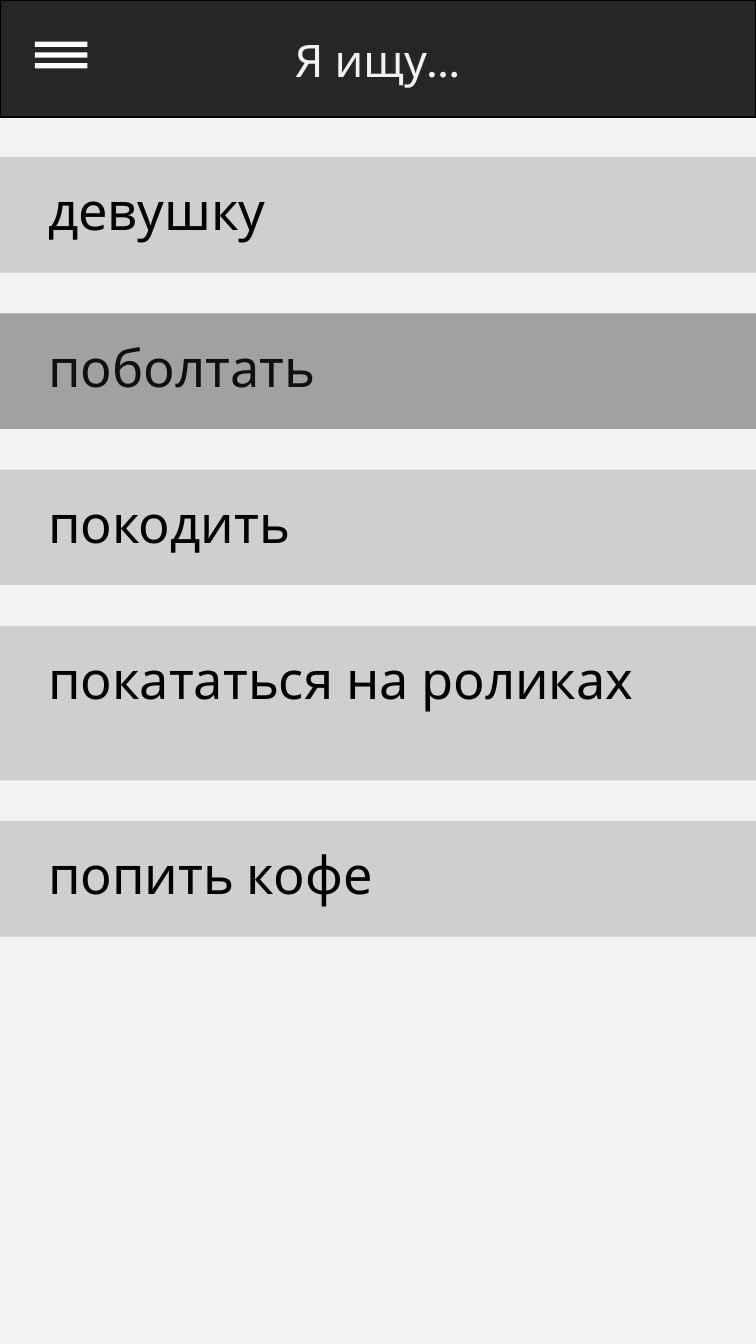
from dataclasses import dataclass
from lxml import etree
from pptx import Presentation
from pptx.dml.color import RGBColor
from pptx.enum.shapes import MSO_SHAPE
from pptx.enum.text import MSO_ANCHOR, MSO_AUTO_SIZE, PP_ALIGN
from pptx.oxml.ns import qn
from pptx.util import Inches, Pt

RECT = MSO_SHAPE.RECTANGLE
TOP = MSO_ANCHOR.TOP
GROW = MSO_AUTO_SIZE.SHAPE_TO_FIT_TEXT
LEFT, CENTER = PP_ALIGN.LEFT, PP_ALIGN.CENTER


@dataclass(frozen=True)
class Theme:
    font: str = "League Spartan"
    page: str = "F2F2F2"
    head: str = "262626"
    row: str = "D0CECE"
    veil: str = "3B3838"
    ink: str = "000000"
    white: str = "FFFFFF"
    title: int = 24
    item: int = 28


THEME = Theme()
HEIGHT = 10
WIDTH = HEIGHT * 9 / 16
INSET = 0.26
FIRST, LAST = 1.17, 6.11
ROW, TALL = 0.86, 1.15
ITEMS = [
    ("девушку", ROW),
    ("поболтать", ROW),
    ("покодить", ROW),
    ("покататься на роликах", TALL),
    ("попить кофе", ROW),
]
GAP = (LAST - FIRST - 3 * ROW - TALL) / (len(ITEMS) - 1)
CHOSEN = 1


def add_bar(slide, left, top, width, height, color, line=None):
    bar = slide.shapes.add_shape(RECT, *map(Inches, (left, top, width, height)))
    bar.shadow.inherit = False
    bar.fill.solid()
    bar.fill.fore_color.rgb = RGBColor.from_string(color)
    if line:
        bar.line.color.rgb = RGBColor.from_string(line)
        bar.line.width = Pt(1)
    else:
        bar.line.fill.background()
    return bar


def write(shape, text, size, color, align):
    frame = shape.text_frame
    frame.word_wrap = True
    frame.auto_size = GROW
    frame.vertical_anchor = TOP
    para = frame.paragraphs[0]
    para.alignment = align
    run = para.add_run()
    run.text = text
    run.font.name = THEME.font
    run.font.size = Pt(size)
    run.font.color.rgb = RGBColor.from_string(color)


def add_head(slide):
    add_bar(slide, 0, 0, WIDTH, 0.87, THEME.head, THEME.ink)
    title = slide.shapes.title
    title.left, title.top = Inches(0), Inches(0.19)
    title.width, title.height = Inches(WIDTH), Inches(0.5)
    title.element.getparent().append(title.element)
    write(title, "Я ищу…", THEME.title, THEME.page, CENTER)


def add_menu(slide):
    for i in range(3):
        add_bar(slide, INSET, 0.31 + i * 0.08, 0.39, 0.04, THEME.white)


def add_item(slide, text, top, height):
    add_bar(slide, 0, top, WIDTH, height, THEME.row)
    box = slide.shapes.add_textbox(
        *map(Inches, (INSET, top + 0.11, 4.61, height - 0.29)))
    write(box, text, THEME.item, THEME.ink, LEFT)


def add_veil(slide, top, height):
    veil = add_bar(slide, 0, top, WIDTH, height, THEME.veil)
    color = veil.element.spPr.find(qn("a:solidFill"))[0]
    etree.SubElement(color, qn("a:alpha")).set("val", "30000")


def add_list(slide):
    top = FIRST
    for text, height in ITEMS:
        add_item(slide, text, top, height)
        top += height + GAP
    add_veil(slide, FIRST + CHOSEN * (ROW + GAP), ROW)


def main():
    deck = Presentation()
    deck.slide_width, deck.slide_height = Inches(WIDTH), Inches(HEIGHT)
    slide = deck.slides.add_slide(deck.slide_layouts[5])
    slide.background.fill.solid()
    slide.background.fill.fore_color.rgb = RGBColor.from_string(THEME.page)
    add_head(slide)
    add_menu(slide)
    add_list(slide)
    deck.save("out.pptx")


if __name__ == "__main__":
    main()
